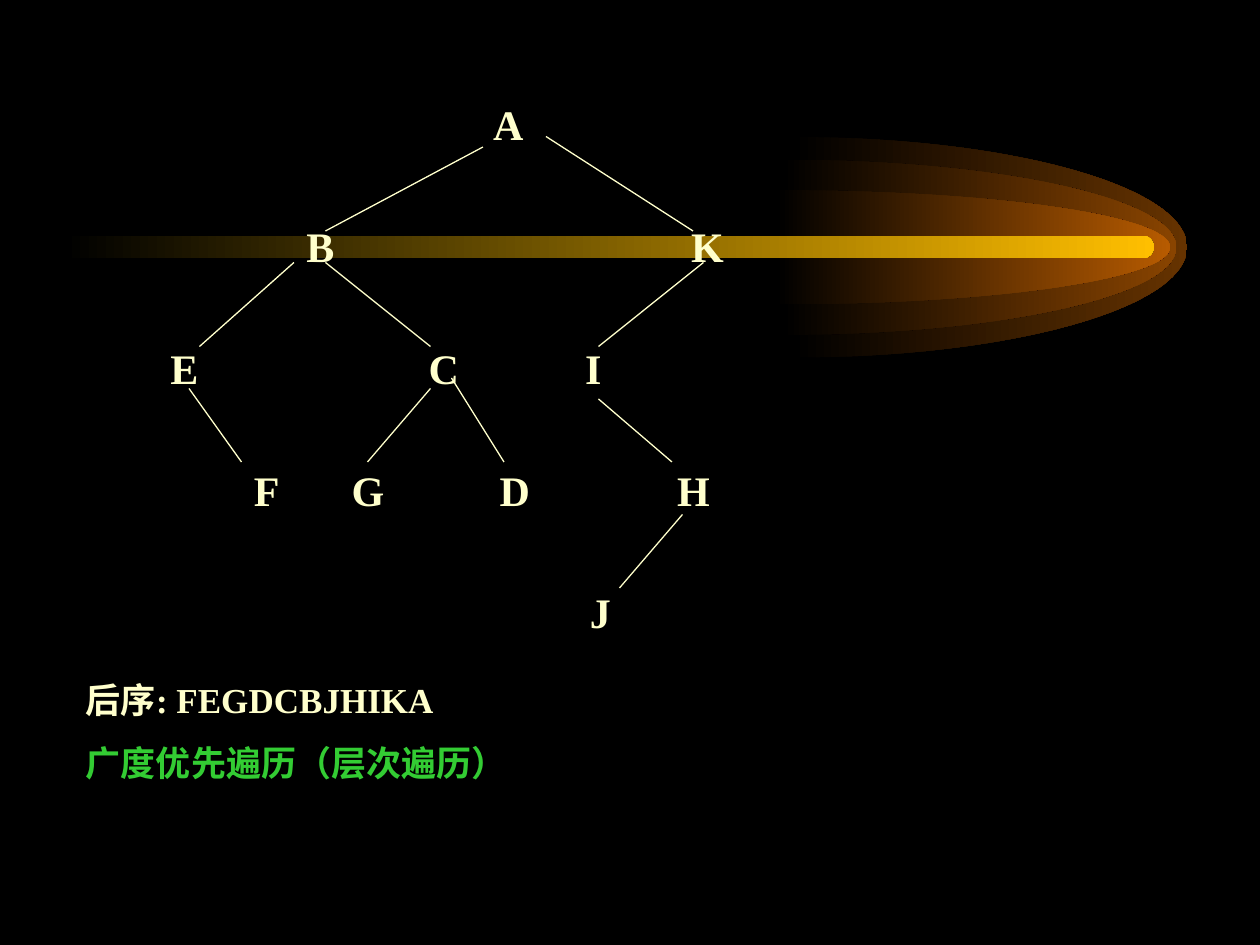
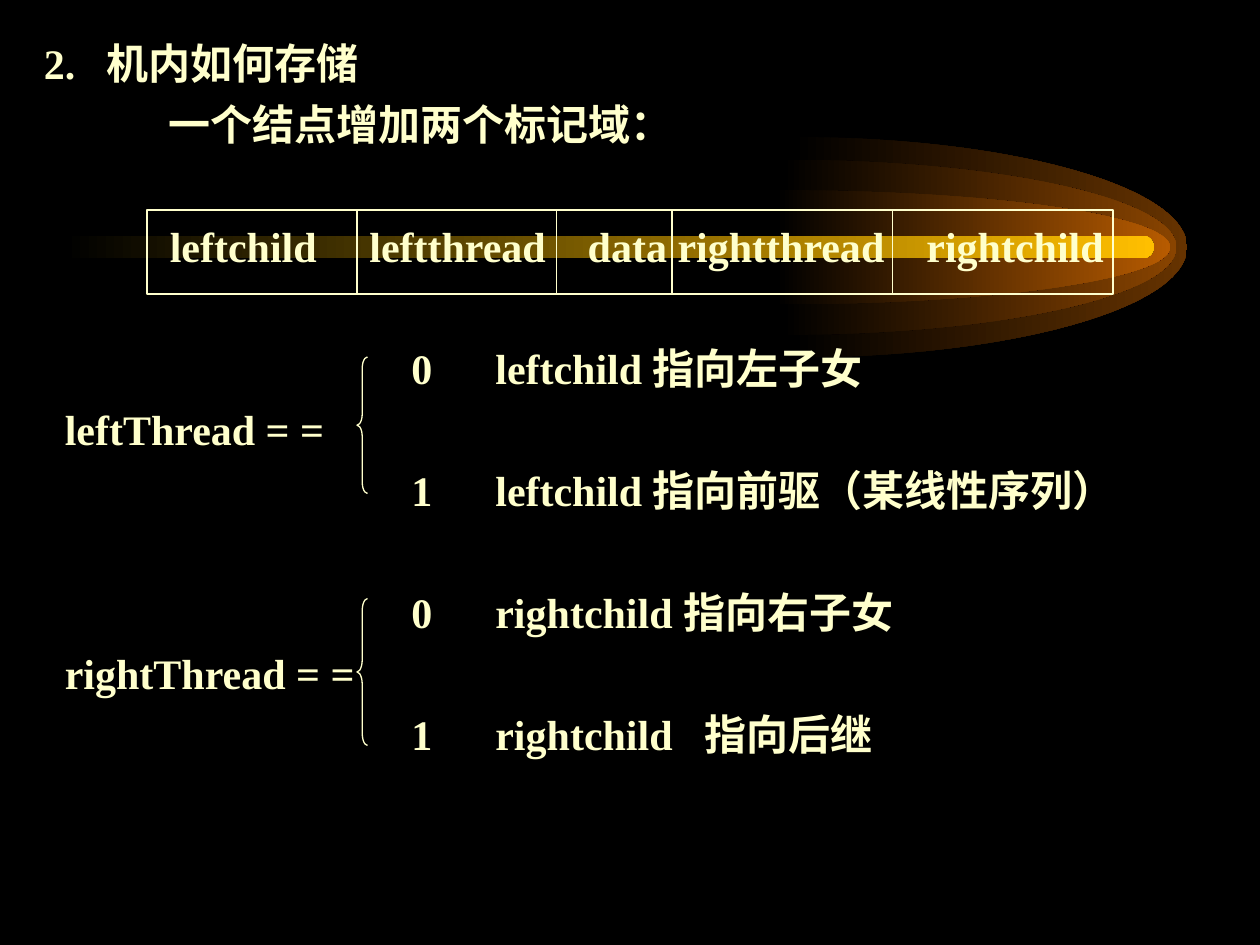
from typing import NamedTuple

from lxml.etree import SubElement as Sub
from pptx import Presentation
from pptx.dml.color import RGBColor as Rgb
from pptx.enum.shapes import MSO_CONNECTOR as Link, MSO_SHAPE as Kind
from pptx.oxml.ns import qn
from pptx.util import Inches, Pt

# Shared look: a grid of 120 columns by 90 rows
COLS, ROWS = 120, 90
WIDE, HIGH = Inches(10), Inches(7.5)
FONT = "Times New Roman"
HUES = {"back": "000000", "text": "FFFFCC", "mark": "33CC33",
        "outer": "663300", "mid": "894400", "core": "B75B00", "beam": "FFBF00"}
LEAD = 1.2  # line height as a share of the text size
AXIS = 23.55  # row on which the comet lies
REACH = 37.55  # columns from the back of a glow to its tip
BOW = 0.55  # handle length of a quarter ellipse


class Area(NamedTuple):
    col: float
    row: float
    wide: float
    high: float


class Glow(NamedTuple):
    col: float
    high: float
    hue: str


class Edge(NamedTuple):
    col: float
    row: float
    to_col: float
    to_row: float


class Cell(NamedTuple):
    col: float  # columns from the left of the text
    text: str


class Line(NamedTuple):
    cells: tuple[Cell, ...]
    skip: int = 0  # empty line heights above
    hue: str = "text"


GLOWS = (Glow(75.5, 21, "outer"), Glow(74.5, 16.7, "mid"), Glow(73.9, 10.9, "core"))
BEAM = Area(6, 22.44, 103.9, 2.16)
BODY = Area(3, 3, 114, 84)

# Slide 1: the tree, its levels two lines apart
TREE = (
    Line((Cell(42.8, "A"),)),
    Line((Cell(25, "B"), Cell(61.65, "K")), 1),
    Line((Cell(12.05, "E"), Cell(36.65, "C"), Cell(51.55, "I")), 1),
    Line((Cell(20, "F"), Cell(29.3, "G"), Cell(43.4, "D"), Cell(60.3, "H")), 1),
    Line((Cell(52, "J"),), 1),
)
EDGES = (
    Edge(46, 14, 31, 22), Edge(28, 25, 19, 33), Edge(31, 25, 41, 33),
    Edge(18, 37, 23, 44), Edge(41, 37, 35, 44), Edge(43, 36, 48, 44),
    Edge(52, 13, 66, 22), Edge(67, 25, 57, 33), Edge(57, 38, 64, 44),
    Edge(65, 49, 59, 56),
)
ORDER = (
    Line((Cell(0, "后序: FEGDCBJHIKA"),)),
    Line((Cell(0, "广度优先遍历（层次遍历）"),), hue="mark"),
)

# Slide 2: the node record and what its flags mean
FLAG, SENSE = 35, 43
STORE = (
    Line((Cell(0, "2."), Cell(5.95, "机内如何存储"))),
    Line((Cell(11.85, "一个结点增加两个标记域："),)),
    Line((Cell(12, "leftchild"), Cell(31, "leftthread"), Cell(51.8, "data"),
          Cell(60.35, "rightthread"), Cell(84.05, "rightchild")), 1),
    Line((Cell(FLAG, "0"), Cell(SENSE, "leftchild 指向左子女")), 1),
    Line((Cell(2, "leftThread = ="),)),
    Line((Cell(FLAG, "1"), Cell(SENSE, "leftchild 指向前驱（某线性序列）"))),
    Line((Cell(FLAG, "0"), Cell(SENSE, "rightchild 指向右子女")), 1),
    Line((Cell(2, "rightThread = ="),)),
    Line((Cell(FLAG, "1"), Cell(SENSE, "rightchild"), Cell(62.9, "指向后继"))),
)
NODE = Area(14, 20, 92, 8)
SPLITS = (34, 53, 64, 85)
BRACES = (Area(34, 34, 1, 13), Area(34, 57, 1, 14))


def x(col: float) -> int:
    return round(WIDE * col / COLS)


def y(row: float) -> int:
    return round(HIGH * row / ROWS)


def place(area: Area) -> tuple[int, int, int, int]:
    return x(area.col), y(area.row), x(area.wide), y(area.high)


def tone(name: str) -> Rgb:
    return Rgb.from_string(HUES[name])


def fade(shape, hue: str) -> None:
    """Fill from the background colour on the left to a hue on the right."""
    shape.shadow.inherit = False
    shape.line.fill.background()
    shape.fill.gradient()
    shape.fill.gradient_angle = 0
    for stop, name in zip(shape.fill.gradient_stops, ("back", hue)):
        stop.color.rgb = tone(name)


def curve(shape) -> None:
    """Turn each three straight steps of an outline into one curve."""
    steps = list(shape._element.iter(qn("a:lnTo")))
    for i in range(0, len(steps) - 2, 3):
        bend = steps[i]
        bend.tag = qn("a:cubicBezTo")
        for step in steps[i + 1:i + 3]:
            bend.append(step[0])
            step.getparent().remove(step)


def comet(slide) -> None:
    sides = ((0, -1), (BOW, -1), (1, -BOW), (1, 0), (1, BOW), (BOW, 1), (0, 1))
    for glow in GLOWS:
        rim = [(x(glow.col + REACH * u), y(AXIS + glow.high / 2 * v))
               for u, v in sides]
        pen = slide.shapes.build_freeform(*rim[0])
        pen.add_line_segments(rim[1:], close=True)
        shape = pen.convert_to_shape()
        curve(shape)
        fade(shape, glow.hue)
    beam = slide.shapes.add_shape(Kind.ROUNDED_RECTANGLE, *place(BEAM))
    beam.adjustments[0] = 0.5
    fade(beam, "beam")


def start(deck):
    slide = deck.slides.add_slide(deck.slide_layouts[6])
    slide.background.fill.solid()
    slide.background.fill.fore_color.rgb = tone("back")
    comet(slide)
    return slide


def write(slide, area: Area, lines: tuple[Line, ...], size: float, gap: float) -> None:
    """Set lines of text whose cells stand on tab stops."""
    frame = slide.shapes.add_textbox(*place(area)).text_frame
    frame.word_wrap = True
    lead = size * LEAD
    for i, line in enumerate(lines):
        para = frame.paragraphs[0] if i == 0 else frame.add_paragraph()
        stops = [cell for cell in line.cells if cell.col]
        if stops:
            tabs = Sub(para._p.get_or_add_pPr(), qn("a:tabLst"))
            for cell in stops:
                Sub(tabs, qn("a:tab"), pos=str(x(cell.col)), algn="l")
        para.line_spacing = Pt(lead)
        para.space_before = Pt(gap + line.skip * (lead + gap) if i else 0)
        for cell in line.cells:
            run = para.add_run()
            run.text = ("\t" if cell.col else "") + cell.text
            font = run.font
            font.size, font.bold, font.name = Pt(size), True, FONT
            font.color.rgb = tone(line.hue)


def ink(shape) -> None:
    shape.line.color.rgb = tone("text")
    shape.line.width = Pt(0.75)


def join(slide, edge: Edge) -> None:
    wire = slide.shapes.add_connector(
        Link.STRAIGHT, x(edge.col), y(edge.row), x(edge.to_col), y(edge.to_row))
    ink(wire)
    Sub(wire._element.spPr, qn("a:effectLst"))


def frame(slide, kind: Kind, area: Area):
    shape = slide.shapes.add_shape(kind, *place(area))
    shape.shadow.inherit = False
    shape.fill.background()
    ink(shape)
    return shape


def tree(deck) -> None:
    slide = start(deck)
    write(slide, Area(3, 8.8, 114, 78.2), TREE, 24, 6.05)
    for edge in EDGES:
        join(slide, edge)
    write(slide, Area(7, 64, 99, 11.3), ORDER, 20, 12.2)


def store(deck) -> None:
    slide = start(deck)
    write(slide, BODY, STORE, 24, 6.05)
    frame(slide, Kind.RECTANGLE, NODE)
    for col in SPLITS:
        join(slide, Edge(col, NODE.row, col, NODE.row + NODE.high))
    for area in BRACES:
        brace = frame(slide, Kind.LEFT_BRACE, area)
        brace.adjustments[0] = area.high / area.wide / 12


def main() -> None:
    deck = Presentation()
    deck.slide_width, deck.slide_height = WIDE, HIGH
    tree(deck)
    store(deck)
    deck.save("out.pptx")


if __name__ == "__main__":
    main()
